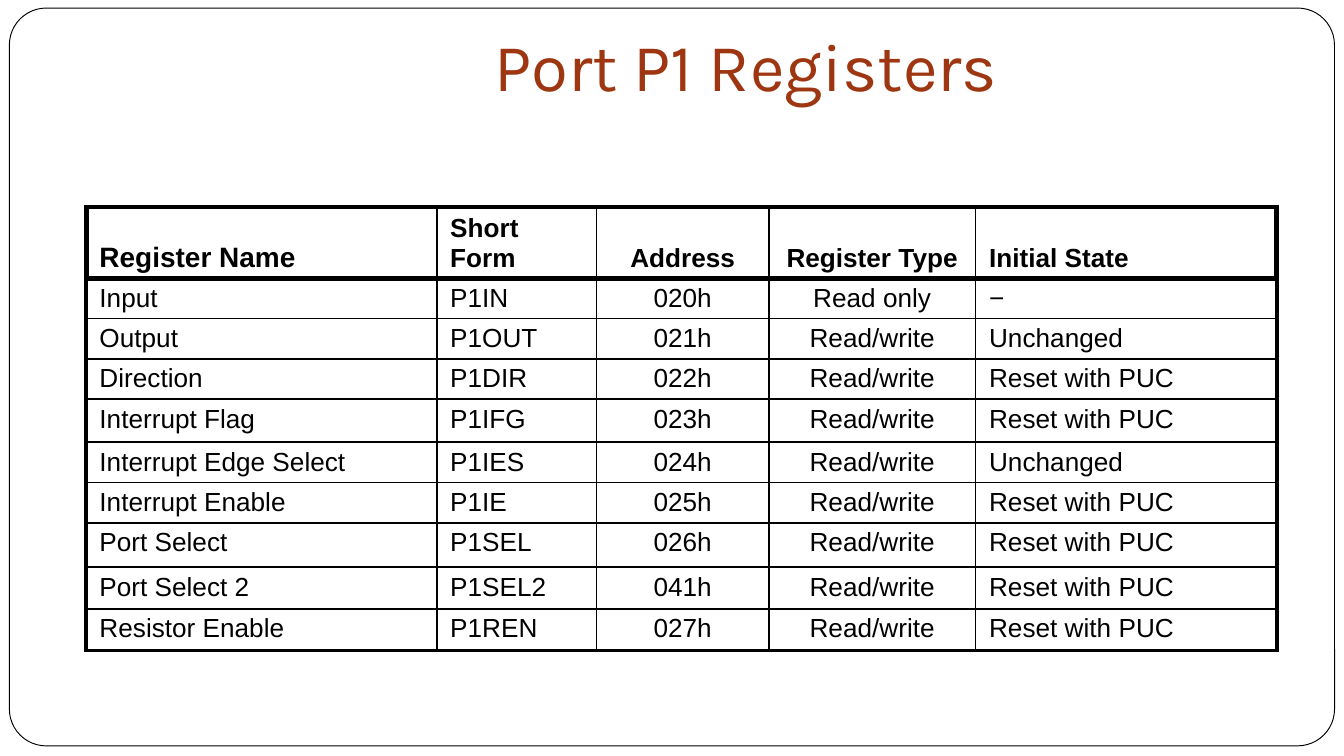
from lxml.etree import SubElement
from pptx import Presentation
from pptx.dml.color import RGBColor
from pptx.enum.shapes import MSO_SHAPE
from pptx.enum.text import MSO_ANCHOR, PP_ALIGN
from pptx.oxml.ns import qn
from pptx.util import Inches, Pt

# Content
TITLE = "Port P1 Registers"
HEADER = ("Register Name", "Short Form", "Address", "Register Type", "Initial State")
REGISTERS = [
    ("Input", "P1IN", "020h", "Read only", "−"),
    ("Output", "P1OUT", "021h", "Read/write", "Unchanged"),
    ("Direction", "P1DIR", "022h", "Read/write", "Reset with PUC"),
    ("Interrupt Flag", "P1IFG", "023h", "Read/write", "Reset with PUC"),
    ("Interrupt Edge Select", "P1IES", "024h", "Read/write", "Unchanged"),
    ("Interrupt Enable", "P1IE", "025h", "Read/write", "Reset with PUC"),
    ("Port Select", "P1SEL", "026h", "Read/write", "Reset with PUC"),
    ("Port Select 2", "P1SEL2", "041h", "Read/write", "Reset with PUC"),
    ("Resistor Enable", "P1REN", "027h", "Read/write", "Reset with PUC"),
]
ROWS = [HEADER] + REGISTERS

# Format
COLORS = {"paper": "FFFFFF", "ink": "000000", "title": "9E3611"}
COLUMN_WIDTHS = (2.61, 1.19, 1.28, 1.54, 2.24)
ROW_HEIGHTS = (0.53, 0.3, 0.3, 0.3, 0.32, 0.3, 0.3, 0.33, 0.31, 0.31)
CENTERED_COLUMNS = (2, 3)
THIN, FRAME, HEAVY = 1, 2.25, 3
CELL_MARGINS = {"margin_left": 0.1, "margin_right": 0.1,
                "margin_top": 0.04, "margin_bottom": 0.04}
TITLE_BOX = {"left": 1.29, "top": 0.17, "width": 8.52, "height": 0.71}
TITLE_MARGINS = {"margin_left": 0.1, "margin_right": 0.1,
                 "margin_top": 0.05, "margin_bottom": 0.1}


def color(name):
    return RGBColor.from_string(COLORS[name])


def set_lengths(target, lengths):
    for name, value in lengths.items():
        setattr(target, name, Inches(value))


def format_font(font, color_name, **values):
    for name, value in values.items():
        setattr(font, name, value)
    font.color.rgb = color(color_name)


def border_widths(row, column):
    """Heavy header, medium outer frame, thin inner grid."""
    side = HEAVY if row == 0 else FRAME
    return {
        "L": side if column == 0 else THIN,
        "R": side if column == len(HEADER) - 1 else THIN,
        "T": HEAVY if row <= 1 else THIN,
        "B": HEAVY if row == 0 else FRAME if row == len(ROWS) - 1 else THIN,
    }


def add_borders(cell, widths):
    properties = cell._tc.get_or_add_tcPr()
    for side, width in widths.items():
        line = SubElement(properties, qn(f"a:ln{side}"), w=str(Pt(width)))
        fill = SubElement(line, qn("a:solidFill"))
        SubElement(fill, qn("a:srgbClr"), val=COLORS["ink"])


def fill_cell(cell, text, row, column):
    is_header = row == 0
    add_borders(cell, border_widths(row, column))
    cell.fill.background()
    set_lengths(cell, CELL_MARGINS)
    cell.vertical_anchor = MSO_ANCHOR.BOTTOM if is_header else MSO_ANCHOR.TOP
    cell.text = text
    paragraph = cell.text_frame.paragraphs[0]
    paragraph.alignment = PP_ALIGN.CENTER if column in CENTERED_COLUMNS else PP_ALIGN.LEFT
    format_font(paragraph.runs[0].font, "ink", name="Arial", bold=is_header,
                size=Pt(15 if is_header and column == 0 else 14))


def main():
    prs = Presentation()
    # Widescreen 16:9
    prs.slide_width = Inches(10)
    prs.slide_height = prs.slide_width * 9 // 16
    slide = prs.slides.add_slide(prs.slide_layouts[5])

    # Rounded page frame, behind everything else
    frame = slide.shapes.add_shape(MSO_SHAPE.ROUNDED_RECTANGLE, Inches(0.07),
                                   Inches(0.06), Inches(9.86), Inches(5.49))
    frame.adjustments[0] = 0.05
    frame.shadow.inherit = False
    frame.fill.solid()
    frame.fill.fore_color.rgb = color("paper")
    frame.line.color.rgb = color("ink")
    frame.line.width = Pt(0.5)
    slide.shapes._spTree.insert(2, frame._element)

    # Title
    title = slide.shapes.title
    set_lengths(title, TITLE_BOX)
    title.text = TITLE
    set_lengths(title.text_frame, TITLE_MARGINS)
    title.text_frame.vertical_anchor = MSO_ANCHOR.BOTTOM
    heading = title.text_frame.paragraphs[0]
    heading.alignment = PP_ALIGN.CENTER
    format_font(heading.runs[0].font, "title", name="Karla", size=Pt(36))

    # Register table
    table = slide.shapes.add_table(
        len(ROWS), len(HEADER), Inches(0.64), Inches(1.54),
        Inches(sum(COLUMN_WIDTHS)), Inches(sum(ROW_HEIGHTS))).table
    table.first_row = table.horz_banding = False
    for column, width in zip(table.columns, COLUMN_WIDTHS):
        column.width = Inches(width)
    for row, height in zip(table.rows, ROW_HEIGHTS):
        row.height = Inches(height)
    for r, texts in enumerate(ROWS):
        for c, text in enumerate(texts):
            fill_cell(table.cell(r, c), text, r, c)

    prs.save("out.pptx")


if __name__ == "__main__":
    main()
